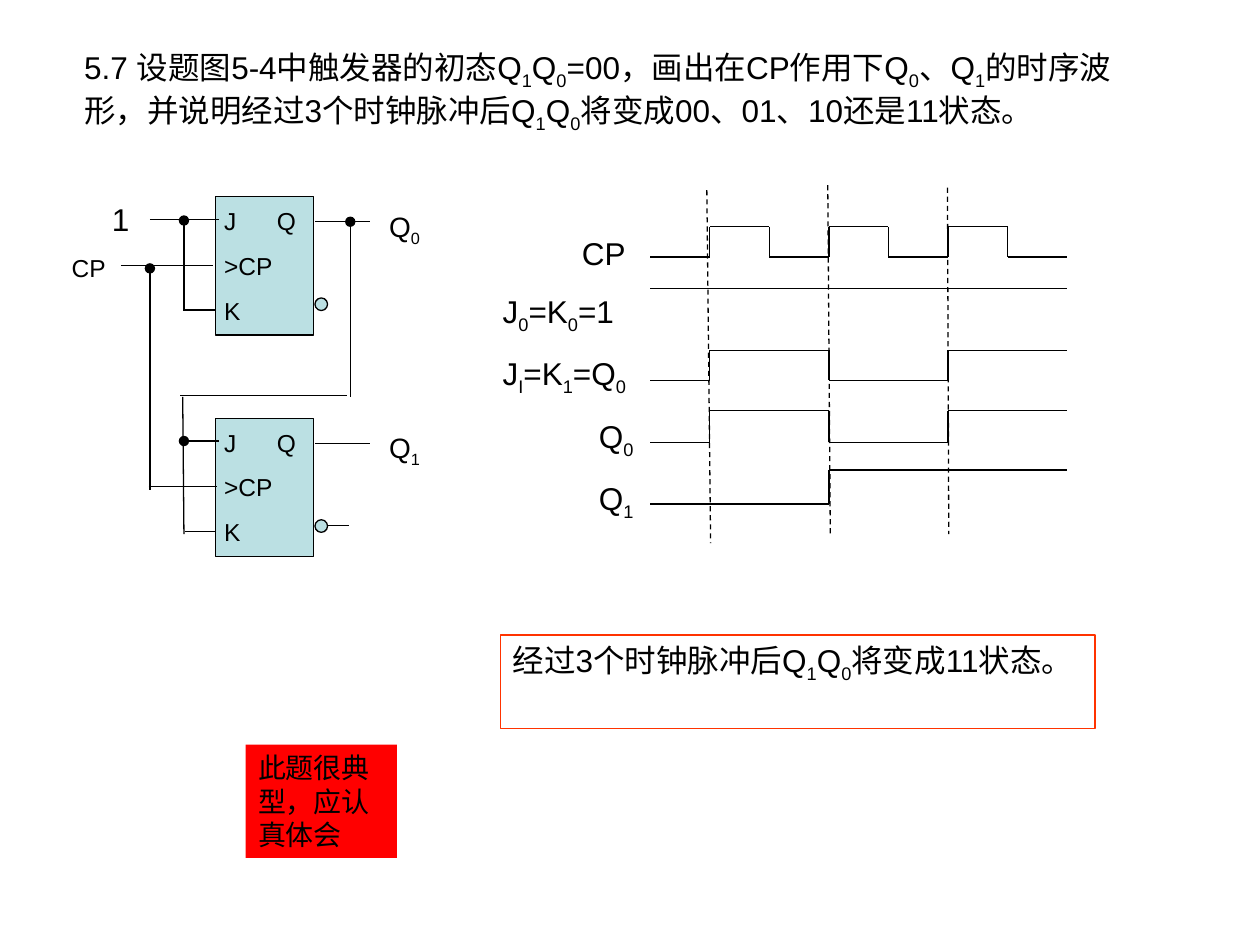
from itertools import groupby

from lxml import etree
from pptx import Presentation
from pptx.dml.color import RGBColor
from pptx.enum.dml import MSO_LINE
from pptx.enum.shapes import MSO_CONNECTOR, MSO_SHAPE
from pptx.enum.text import MSO_ANCHOR, MSO_AUTO_SIZE, PP_ALIGN
from pptx.oxml.ns import qn
from pptx.util import Inches, Pt

RECT, OVAL = MSO_SHAPE.RECTANGLE, MSO_SHAPE.OVAL
STRAIGHT, DASH = MSO_CONNECTOR.STRAIGHT, MSO_LINE.DASH
LEFT, TOP, GROW = PP_ALIGN.LEFT, MSO_ANCHOR.TOP, MSO_AUTO_SIZE.SHAPE_TO_FIT_TEXT

COLS, ROWS = 100, 75
FONT, INK, GATE, RED, ORANGE = "Arial", "000000", "BBE0E3", "FF0000", "FF3300"


def color(value):
    return RGBColor.from_string(value)


def grid(*cells):
    return [Inches(c / 10) for c in cells]


def add_run(p, text, size, sub=False):
    if not text:
        return
    r = p.add_run()
    r.text = text
    r.font.name, r.font.size = FONT, Pt(size)
    r.font.color.rgb = color(INK)
    if sub:
        r.font._element.set("baseline", "-25000")


def write(sp, lines, size, before=0, indents=(), tab=None):
    tf = sp.text_frame
    tf.word_wrap, tf.auto_size, tf.vertical_anchor = True, GROW, TOP
    for i, line in enumerate(lines):
        p = tf.paragraphs[0] if i == 0 else tf.add_paragraph()
        pPr = p._p.get_or_add_pPr()
        if tab:
            tabs = etree.SubElement(pPr, qn("a:tabLst"))
            etree.SubElement(tabs, qn("a:tab"), pos=str(grid(tab)[0]), algn="l")
        if indents:
            pPr.set("marL", str(grid(indents[i])[0]))
            pPr.set("indent", "0")
        p.alignment = LEFT
        p.space_before = Pt(before if i else 0)
        first, *rest = line.split("_")
        add_run(p, first, size)
        for part in rest:
            add_run(p, part[0], size, sub=True)
            add_run(p, part[1:], size)


def add_text(s, box, lines, size, **layout):
    write(s.shapes.add_textbox(*grid(*box)), lines, size, **layout)


def add_box(s, kind, box, fill=None, line=None):
    sp = s.shapes.add_shape(kind, *grid(*box))
    sp.shadow.inherit = False
    for part, value in ((sp.fill, fill), (sp.line.fill, line)):
        if value:
            part.solid()
            part.fore_color.rgb = color(value)
        else:
            part.background()
    if line:
        sp.line.width = Pt(0.75)
    return sp


def add_wire(s, x1, y1, x2, y2, dot=False, dashed=False):
    cx = s.shapes.add_connector(STRAIGHT, *grid(x1, y1, x2, y2))
    cx.line.width = Pt(0.75)
    cx.line.color.rgb = color(INK)
    if dashed:
        cx.line.dash_style = DASH
    if dot:
        etree.SubElement(cx.line._get_or_add_ln(), qn("a:headEnd"), type="oval")
    etree.SubElement(cx._element.spPr, qn("a:effectLst"))


def flip_flop(s, box, output):
    x, y, w, h = box
    add_box(s, RECT, box, GATE, INK)
    add_text(s, (x - 0.3, y + 0.25, w + 0.5, h - 0.5), ["J\tQ", ">CP", "K"], 14,
             before=8.8, tab=4.2)
    add_wire(s, x + w + 0.1, y + 2, x + w + 4.5, y + 2)
    add_box(s, OVAL, (x + w + 0.1, y + 8.05, 1, 1), GATE, INK)
    add_text(s, (x + w + 5, y + 0.5, 5.7, 4.1), [output], 16)


def circuit(s, box):
    x, y, w, h = box
    for top, output in ((0.6, "Q_0"), (18.2, "Q_1")):
        flip_flop(s, (x + 13.1, y + top, 7.8, 11), output)
    wires = (
        (5.6, 6.1, 12.9, 6.1), (7.9, 2.4, 13.4, 2.4), (10.6, 9.6, 13.1, 9.6),
        (10.3, 16.4, 23.5, 16.4), (10.5, 16.5, 10.6, 27.4),
        (10.7, 27.2, 13.1, 27.2), (7.8, 23.6, 13.2, 23.6), (22, 26.7, 23.7, 26.7),
    )
    dotted = (
        (23.8, 2.6, 23.8, 16.5), (7.9, 6.3, 7.9, 23.9),
        (10.6, 2.5, 10.6, 9.7), (10.6, 20, 13.4, 20),
    )
    for group, dot in ((wires, False), (dotted, True)):
        for x1, y1, x2, y2 in group:
            add_wire(s, x + x1, y + y1, x + x2, y + y2, dot=dot)
    add_text(s, (x + 3.9, y + 0.4, 3.7, 4), ["1"], 18)
    add_text(s, (x + 0.7, y + 4.6, 5.6, 3.4), ["CP"], 14)


def waveform(s, box, levels):
    x, y, w, h = box
    step = w / len(levels)
    start, last = x, None
    for level, run in groupby(levels):
        end = start + step * len(list(run))
        height = y if level == "1" else y + h
        if last is not None:
            add_wire(s, start, last, start, height)
        add_wire(s, start, height, end, height)
        start, last = end, height


def timing(s, box):
    x, y, w, h = box
    signals = (
        (3.3, 2.4, "0101010"), (8.2, 2.4, "1111111"), (13.1, 2.4, "0110011"),
        (17.9, 2.5, "0110011"), (22.6, 2.7, "0001111"),
    )
    for top, swing, levels in signals:
        waveform(s, (x, y + top, w, swing), levels)
    edges = ((4.5, 0.4, 4.8, 28.4), (14.1, 0, 14.3, 27.9), (23.6, 0.2, 23.7, 27.7))
    for x1, y1, x2, y2 in edges:
        add_wire(s, x + x1, y + y1, x + x2, y + y2, dashed=True)
    add_text(s, (x - 12.7, y + 3.4, 15.1, 23.9),
             ["CP", "J_0=K_0=1", "J_I=K_1=Q_0", "Q_0", "Q_1"], 18,
             before=11.2, indents=(6.3, 0, 0, 7.65, 7.65))


def question(s, box):
    add_text(s, box, ["5.7 设题图5-4中触发器的初态Q_1Q_0=00，画出在CP作用下Q_0、Q_1的时序波形，"
                      "并说明经过3个时钟脉冲后Q_1Q_0将变成00、01、10还是11状态。"], 18)


def answer(s, box):
    sp = add_box(s, RECT, box, line=ORANGE)
    write(sp, ["经过3个时钟脉冲后Q_1Q_0将变成11状态。"], 18)


def remark(s, box):
    sp = add_box(s, RECT, box, fill=RED)
    write(sp, ["此题很典型，应认真体会"], 16)


def main():
    prs = Presentation()
    prs.slide_width, prs.slide_height = grid(COLS, ROWS)
    s = prs.slides.add_slide(prs.slide_layouts[6])
    question(s, (5.7, 3.3, 85.8, 10.8))
    circuit(s, (4, 15, 32, 30))
    timing(s, (51.6, 14.7, 33.1, 28.4))
    answer(s, (39.7, 50.4, 47.2, 7.4))
    remark(s, (19.5, 59.1, 12, 9))
    prs.save("out.pptx")


if __name__ == "__main__":
    main()
